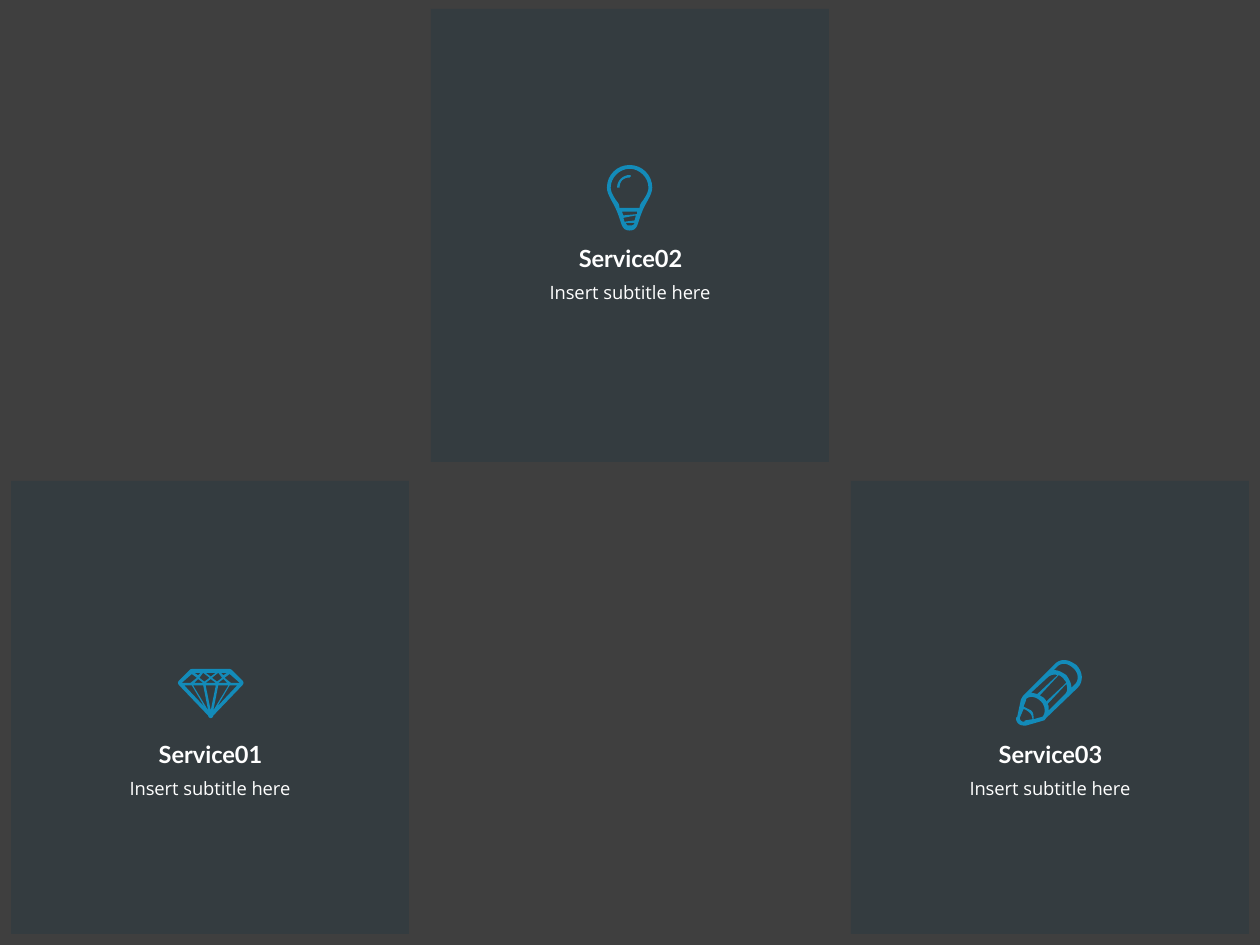
from lxml.etree import SubElement
from pptx import Presentation
from pptx.dml.color import RGBColor
from pptx.enum.shapes import MSO_SHAPE
from pptx.enum.text import MSO_AUTO_SIZE, PP_ALIGN
from pptx.oxml.ns import qn
from pptx.util import Emu, Pt

GRAY = RGBColor(0x3F, 0x3F, 0x3F)
SLATE = RGBColor(0x31, 0x3C, 0x41)
BLUE = RGBColor(0x13, 0x8B, 0xB9)
WHITE = RGBColor(0xFF, 0xFF, 0xFF)

PX = 914400 / 126
ICON_UNIT = 9144  # icon grid: hundredths of an inch
CURVE_STEPS = 8

CARD_LEFT, CARD_STEP = 11, 420
CARD_W, CARD_H = 398, 453

# Icons: each outline is a list of contours; a contour mixes corner points
# (x, y) with cubic curves (x1, y1, x2, y2, x, y).
BULB = [
    [(0, 18), (0, 8, 8, 0, 18, 0), (28, 0, 36, 8, 36, 18),
     (36, 24, 30, 31, 28, 37), (24, 46, 25, 52, 18, 52),
     (11, 52, 12, 46, 8, 37), (6, 31, 0, 24, 0, 18)],
    [(26, 34), (10, 34), (10, 32, 9, 30, 8, 29), (5, 25, 3, 21, 3, 18),
     (3, 10, 10, 3, 18, 3), (26, 3, 33, 10, 33, 18),
     (33, 21, 31, 25, 28, 29), (27, 30, 26, 32, 26, 34)],
    [(13, 40), (12, 37), (24, 37), (24, 39)],
    [(22, 44), (14, 45), (13, 42), (23, 40)],
    [(18, 48), (16, 48, 16, 48, 15, 46), (22, 46), (21, 48, 20, 48, 18, 48)],
]
GLINT = [
    [(18, 8), (13, 8, 8, 12, 8, 18), (8, 18, 9, 18, 9, 18),
     (9, 18, 10, 18, 10, 18), (10, 13, 13, 10, 18, 10),
     (18, 10, 19, 9, 19, 9), (19, 8, 18, 8, 18, 8)],
]
GEM_RIM = [
    (51, 9), (43, 1), (42, 0, 41, 0, 41, 0), (11, 0), (11, 0, 10, 0, 9, 1),
    (1, 9), (1, 9, 0, 10, 0, 11), (0, 12, 1, 13, 1, 13), (24, 37),
    (24, 38, 25, 39, 26, 39), (27, 39, 28, 38, 28, 37), (51, 13),
    (51, 13, 52, 12, 52, 11), (52, 10, 51, 9, 51, 9),
]
GEM_MIDDLE = [
    [(30, 11), (22, 11), (26, 8)],
    [(30, 13), (26, 33), (22, 13)],
    [(26, 6), (22, 3), (30, 3)],
]
GEM_LEFT = [
    [(21, 10), (17, 7), (20, 3), (25, 7)],
    [(16, 5), (13, 3), (18, 3)],
    [(16, 8), (20, 11), (13, 11)],
    [(20, 13), (24, 33), (12, 13)],
    [(21, 30), (5, 13), (11, 13)],
    [(11, 4), (15, 7), (10, 11), (3, 11)],
]
GEM_RIGHT = [[(52 - x, y) for x, y in facet] for facet in GEM_LEFT]
GEM = [GEM_RIM] + GEM_MIDDLE + GEM_LEFT + GEM_RIGHT
PENCIL = [
    [(48, 4), (45, 2, 42, 0, 38, 0), (36, 0, 33, 1, 31, 3), (6, 28),
     (5, 29, 5, 30, 4, 31), (1, 45), (1, 45, 0, 46, 0, 46),
     (0, 50, 3, 52, 6, 52), (7, 52, 8, 52, 8, 52), (22, 48),
     (23, 48, 23, 47, 24, 46), (49, 22), (54, 17, 53, 9, 48, 4)],
    [(26, 39), (26, 37, 26, 36, 25, 35), (40, 19), (41, 22, 41, 25, 39, 27),
     (26, 40)],
    [(24, 33), (24, 32, 23, 31, 22, 30), (21, 29, 20, 29, 19, 28), (34, 12),
     (36, 13, 37, 14, 38, 15), (38, 16, 39, 16, 40, 18)],
    [(17, 27), (16, 27, 14, 26, 12, 26), (25, 14), (27, 12, 30, 11, 33, 12)],
    [(7, 48), (7, 49, 6, 49, 6, 49), (5, 49, 3, 48, 3, 46), (6, 39),
     (7, 39, 9, 40, 11, 42), (12, 43, 13, 45, 13, 47)],
    [(14, 47), (14, 44, 14, 42, 12, 40), (10, 39, 8, 38, 6, 37), (8, 32),
     (8, 31), (11, 28, 16, 29, 20, 33), (23, 36, 24, 42, 21, 45)],
    [(47, 19), (44, 22), (44, 18, 42, 15, 40, 12), (37, 10, 34, 8, 30, 8),
     (33, 5), (34, 4, 36, 3, 38, 3), (41, 3, 44, 5, 46, 7),
     (48, 9, 49, 11, 49, 14), (49, 16, 48, 18, 47, 19)],
]

# name, column, card top, title top, icon outlines, icon left, icon top
SERVICES = [
    ("Service01", 0, 481, 735, [GEM], 178, 669),
    ("Service02", 1, 9, 239, [BULB, GLINT], 607, 165),
    ("Service03", 2, 481, 735, [PENCIL], 1016, 660),
]


def px(n):
    return Emu(round(n * PX))


def paint(sp, color):
    sp.shadow.inherit = False
    sp.fill.solid()
    sp.fill.fore_color.rgb = color
    sp.line.fill.background()


def flatten(contour):
    """Turn corners and cubic curves into a plain list of points."""
    points = []
    for item in contour:
        if len(item) == 2:
            points.append(item)
            continue
        x0, y0 = points[-1]
        x1, y1, x2, y2, x3, y3 = item
        for i in range(1, CURVE_STEPS + 1):
            t = i / CURVE_STEPS
            a, b, c, d = (1 - t)**3, 3 * t * (1 - t)**2, 3 * t * t * (1 - t), t**3
            points.append((a * x0 + b * x1 + c * x2 + d * x3,
                           a * y0 + b * y1 + c * y2 + d * y3))
    return [(round(x * ICON_UNIT), round(y * ICON_UNIT)) for x, y in points]


def add_outline(shapes, contours, left, top):
    first, *rest = [flatten(c) for c in contours]
    fb = shapes.build_freeform(*first[0], scale=1.0)
    fb.add_line_segments(first[1:], close=True)
    for points in rest:
        fb.move_to(*points[0])
        fb.add_line_segments(points[1:], close=True)
    paint(fb.convert_to_shape(px(left), px(top)), BLUE)


def add_icon(shapes, outlines, left, top):
    if len(outlines) > 1:
        shapes = shapes.add_group_shape().shapes
    for contours in outlines:
        add_outline(shapes, contours, left, top)


def add_card(shapes, left, top):
    sp = shapes.add_shape(MSO_SHAPE.RECTANGLE, px(left), px(top), px(CARD_W), px(CARD_H))
    paint(sp, SLATE)
    color = sp.fill._xPr.find(qn("a:solidFill"))[0]
    SubElement(color, qn("a:alpha"), val="75000")


def add_label(shapes, text, box, font, size, bold=False, wrap=True, spacing=None):
    tf = shapes.add_textbox(*[px(n) for n in box]).text_frame
    tf.word_wrap = wrap
    tf.auto_size = MSO_AUTO_SIZE.SHAPE_TO_FIT_TEXT
    tf.margin_top = tf.margin_bottom = px(5)
    p = tf.paragraphs[0]
    p.alignment = PP_ALIGN.CENTER
    p.line_spacing = spacing
    r = p.add_run()
    r.text = text
    r.font.name = font
    r.font.size = Pt(size)
    r.font.bold = bold
    r.font.color.rgb = WHITE


def main():
    prs = Presentation()
    prs.slide_width, prs.slide_height = px(1260), px(945)
    s = prs.slides.add_slide(prs.slide_layouts[6])
    s.background.fill.solid()
    s.background.fill.fore_color.rgb = GRAY

    # Service cards
    for name, column, top, title_top, outlines, icon_left, icon_top in SERVICES:
        left = CARD_LEFT + column * CARD_STEP
        add_card(s.shapes, left, top)
        add_label(s.shapes, name, (left + 134, title_top, 131, 42),
                  "Lato", 13.5, bold=True, wrap=False)
        add_label(s.shapes, "Insert subtitle here", (left + 70, title_top + 26, 258, 47),
                  "Open Sans", 10.5, spacing=1.5)
        add_icon(s.shapes, outlines, icon_left, icon_top)

    prs.save("out.pptx")


main()
